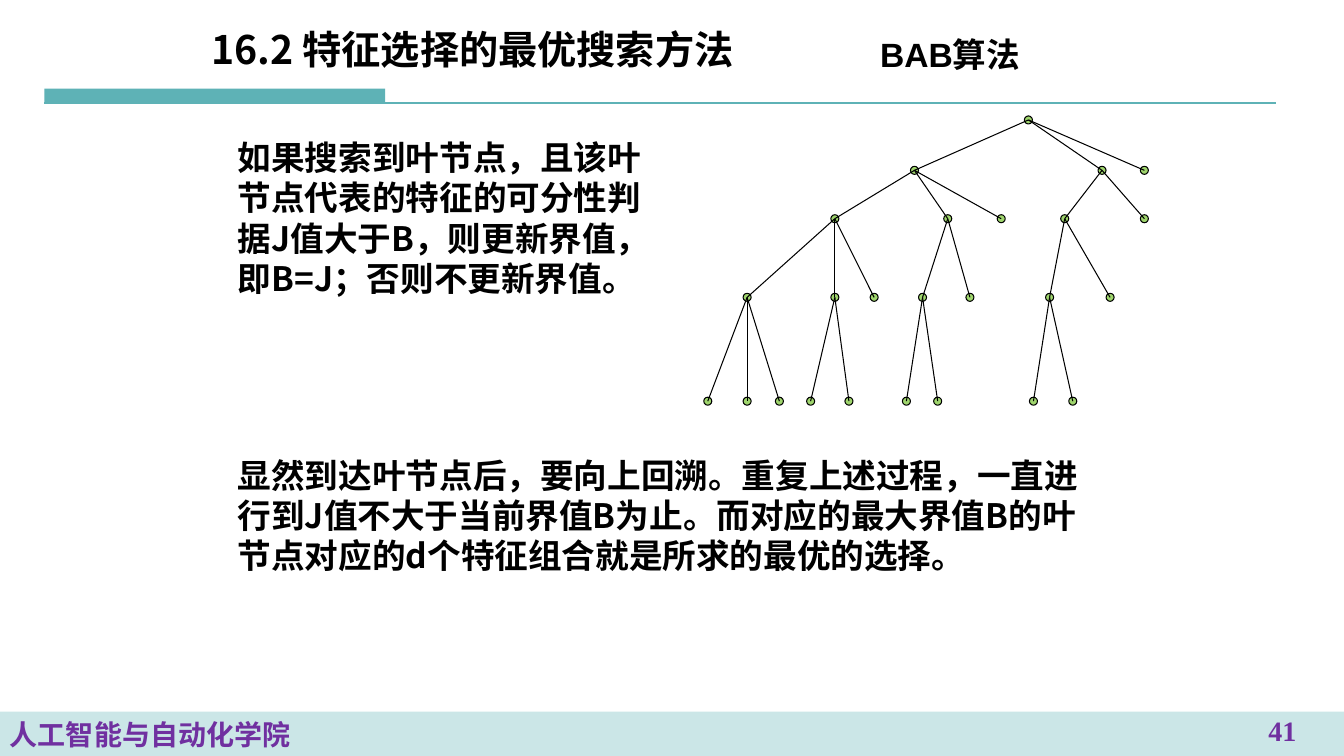
from dataclasses import dataclass
from lxml import etree
from pptx import Presentation
from pptx import util as u
from pptx.dml.color import RGBColor
from pptx.enum import shapes, text
from pptx.oxml.ns import qn


@dataclass(frozen=True)
class Theme:
    """Colours, fonts and type sizes of the slide."""
    teal: str = "5EB2B6"
    purple: str = "7030A0"
    ink: str = "000000"
    node: str = "9FD56D"
    cjk: str = "Noto Sans CJK SC"
    sans: str = "Arial"
    serif: str = "Times New Roman"
    title: int = 28
    body: int = 24
    footer: int = 20
    leading: float = 28.8


THEME = Theme()
LEVELS = [0.04, 0.54, 1.02, 1.8, 2.83]
TREE = (3.22, [
    (2.09, [
        (1.3, [
            (0.43, [(0.04, []), (0.43, []), (0.75, [])]),
            (1.3, [(1.06, []), (1.44, [])]),
            (1.69, [])]),
        (2.42, [
            (2.17, [(2.01, []), (2.32, [])]),
            (2.64, [])]),
        (2.95, [])]),
    (3.95, [
        (3.58, [
            (3.43, [(3.27, []), (3.66, [])]),
            (4.03, [])]),
        (4.37, [])]),
    (4.37, [])])


def style_text(frame, wording, size, font, color):
    """Write bold wording into a frame."""
    frame.text = wording
    frame.word_wrap = True
    for run in frame.paragraphs[0].runs:
        run.font.size = u.Pt(size)
        run.font.bold = True
        run.font.name = font
        run.font.color.rgb = RGBColor.from_string(color)
        east_asian = etree.SubElement(run.font._element, qn("a:ea"))
        east_asian.set("typeface", THEME.cjk)


def add_text(slide, box, wording, size, font, color):
    """Place a text box and return its frame."""
    frame = slide.shapes.add_textbox(*map(u.Inches, box)).text_frame
    style_text(frame, wording, size, font, color)
    return frame


def add_solid(slide, kind, box, fill):
    """Place a filled shape without an outline."""
    solid = slide.shapes.add_shape(kind, *map(u.Inches, box))
    solid.shadow.inherit = False
    solid.fill.solid()
    solid.fill.fore_color.rgb = RGBColor.from_string(fill)
    solid.line.fill.background()
    return solid


def add_line(slide, start, end, color, width):
    """Draw a straight line between two points."""
    line = slide.shapes.add_connector(
        shapes.MSO_CONNECTOR.STRAIGHT, *map(u.Inches, (*start, *end)))
    line.line.color.rgb = RGBColor.from_string(color)
    line.line.width = u.Pt(width)
    etree.SubElement(line._element.spPr, qn("a:effectLst"))


def add_header(slide, box):
    """Place the title, the topic and the rule under them."""
    left, top, width, height = box
    bottom = top + height
    add_solid(slide, shapes.MSO_SHAPE.RECTANGLE, (left, bottom - 0.14, 3.38, 0.14), THEME.teal)
    add_line(slide, (left, bottom), (left + width, bottom), THEME.teal, 1.5)
    title = slide.shapes.title
    title.left, title.top = u.Inches(left + 1.56), u.Inches(top)
    title.width, title.height = u.Inches(6.75), u.Inches(0.62)
    style_text(title.text_frame, "16.2 特征选择的最优搜索方法", THEME.title, THEME.cjk, THEME.ink)
    title.text_frame.vertical_anchor = text.MSO_ANCHOR.MIDDLE
    title.text_frame.paragraphs[0].alignment = text.PP_ALIGN.LEFT
    add_text(slide, (left + 8.19, top + 0.12, 1.89, 0.5), "BAB算法",
             THEME.body, THEME.sans, THEME.ink)


def add_footer(slide, box):
    """Place the tinted band with the school name and the page number."""
    left, top, width, height = box
    band = add_solid(slide, shapes.MSO_SHAPE.RECTANGLE, box, THEME.teal)
    tint = band._element.spPr.find(qn("a:solidFill"))[0]
    etree.SubElement(tint, qn("a:alpha")).set("val", "32000")
    style_text(band.text_frame, "人工智能与自动化学院", THEME.footer, THEME.sans, THEME.purple)
    band.text_frame.vertical_anchor = text.MSO_ANCHOR.MIDDLE
    band.text_frame.paragraphs[0].alignment = text.PP_ALIGN.LEFT
    page = add_text(slide, (left + width - 1.22, top - 0.03, 1.22, 0.39), "41",
                    THEME.footer, THEME.serif, THEME.purple)
    page.paragraphs[0].alignment = text.PP_ALIGN.CENTER


def add_explanation(slide, box, wording):
    """Place a body paragraph with fixed leading."""
    frame = add_text(slide, box, wording, THEME.body, THEME.cjk, THEME.ink)
    frame.paragraphs[0].line_spacing = u.Pt(THEME.leading)


def walk_tree(branch, depth=0, parent=None):
    """Yield every node centre together with its parent's centre."""
    x, children = branch
    centre = (x, LEVELS[depth])
    yield centre, parent
    for child in children:
        yield from walk_tree(child, depth + 1, centre)


def add_search_tree(slide, origin):
    """Draw the nodes of the search tree, then the branches over them."""
    left, top = origin
    diameter = 0.08
    nodes = list(walk_tree(TREE))
    for (x, y), _ in nodes:
        corner = (left + x - diameter / 2, top + y - diameter / 2)
        dot = add_solid(slide, shapes.MSO_SHAPE.OVAL, (*corner, diameter, diameter), THEME.node)
        dot.line.color.rgb = RGBColor.from_string(THEME.ink)
        dot.line.width = u.Pt(0.75)
    for (x, y), parent in nodes:
        if parent:
            add_line(slide, (left + parent[0], top + parent[1]), (left + x, top + y),
                     THEME.ink, 0.75)


def main():
    """Build and save the slide."""
    deck = Presentation()
    deck.slide_width, deck.slide_height = u.Inches(13.33), u.Inches(7.5)
    slide = deck.slides.add_slide(deck.slide_layouts[5])
    add_header(slide, (0.44, 0.17, 12.22, 0.85))
    add_footer(slide, (0, 7.06, 13.33, 0.44))
    add_search_tree(slide, (6.98, 1.15))
    add_explanation(slide, (2.26, 1.31, 4.25, 1.72),
                    "如果搜索到叶节点，且该叶节点代表的特征的可分性判据J值大于B，"
                    "则更新界值，即B=J；否则不更新界值。")
    add_explanation(slide, (2.26, 4.46, 8.82, 1.31),
                    "显然到达叶节点后，要向上回溯。重复上述过程，一直进行到J值不大于当前界值B为止。"
                    "而对应的最大界值B的叶节点对应的d个特征组合就是所求的最优的选择。")
    deck.save("out.pptx")


if __name__ == "__main__":
    main()
